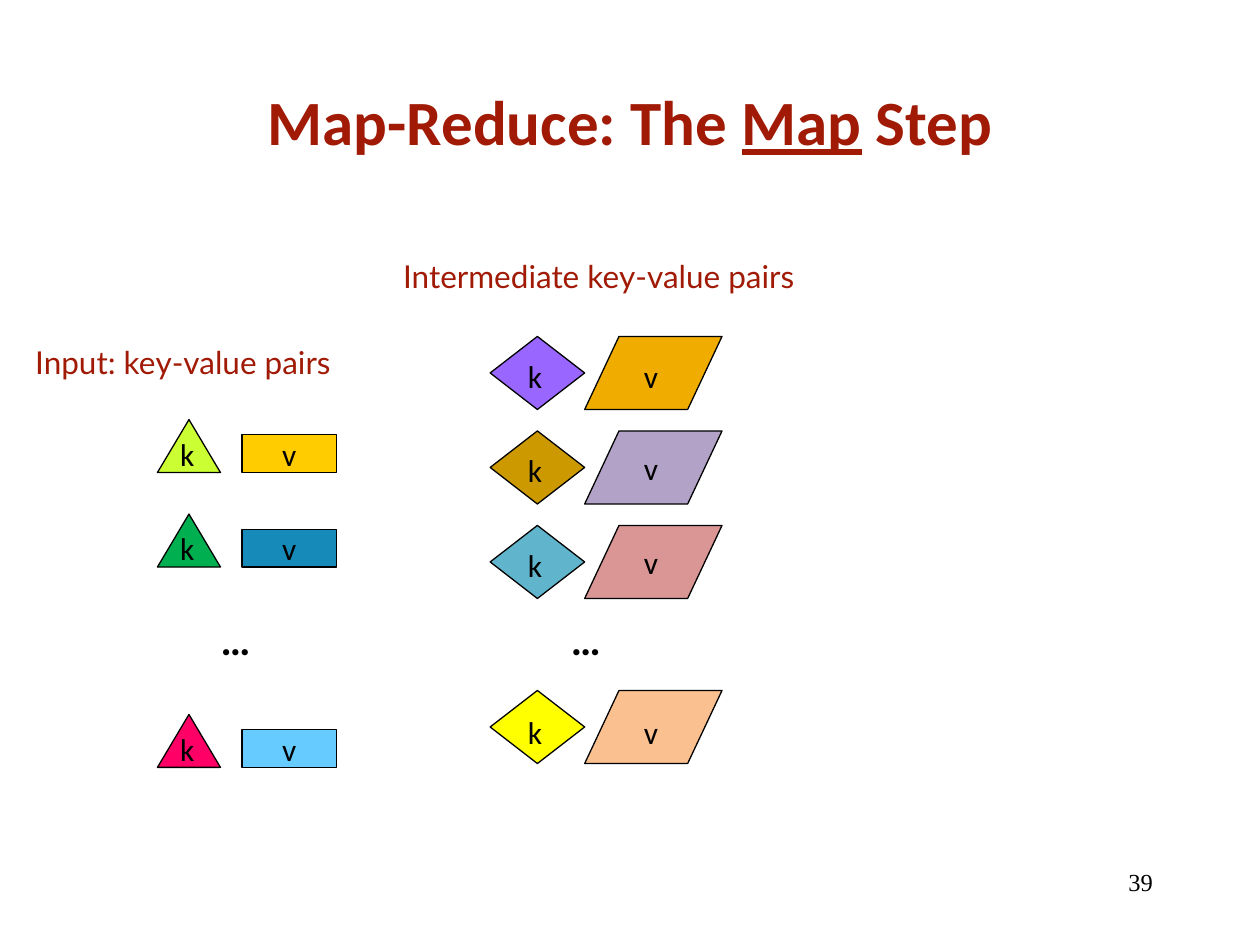
from pptx import Presentation
from pptx.dml.color import RGBColor
from pptx.enum.shapes import MSO_SHAPE
from pptx.enum.text import MSO_ANCHOR, PP_ALIGN
from pptx.util import Inches, Pt

TRIANGLE = MSO_SHAPE.ISOSCELES_TRIANGLE
RECTANGLE = MSO_SHAPE.RECTANGLE
DIAMOND = MSO_SHAPE.DIAMOND
PARALLELOGRAM = MSO_SHAPE.PARALLELOGRAM
LEFT, CENTER, RIGHT = PP_ALIGN.LEFT, PP_ALIGN.CENTER, PP_ALIGN.RIGHT
MIDDLE = MSO_ANCHOR.MIDDLE

BLACK = RGBColor(0, 0, 0)
RED = RGBColor(0xA0, 0x1A, 0x06)
LIME = RGBColor(0xCC, 0xFF, 0x33)
GOLD = RGBColor(0xFF, 0xCC, 0x00)
GREEN = RGBColor(0x00, 0xB0, 0x50)
BLUE = RGBColor(0x16, 0x8B, 0xBA)
PINK = RGBColor(0xFF, 0x00, 0x66)
SKY = RGBColor(0x66, 0xCC, 0xFF)
VIOLET = RGBColor(0x99, 0x66, 0xFF)
AMBER = RGBColor(0xF0, 0xAD, 0x00)
OCHRE = RGBColor(0xCC, 0x99, 0x00)
LILAC = RGBColor(0xB3, 0xA2, 0xC7)
TEAL = RGBColor(0x60, 0xB5, 0xCC)
ROSE = RGBColor(0xD9, 0x96, 0x94)
YELLOW = RGBColor(0xFF, 0xFF, 0x00)
PEACH = RGBColor(0xFA, 0xC0, 0x90)

ROW_TOP, ROW_STEP = 2.67, 0.75
INPUT_ROWS = [
    (ROW_TOP + 0.66, LIME, GOLD),
    (ROW_TOP + 0.66 + ROW_STEP, GREEN, BLUE),
    (5.67, PINK, SKY),
]
OUTPUT_ROWS = [
    (ROW_TOP, VIOLET, AMBER, 0.16, 0.16),
    (ROW_TOP + ROW_STEP, OCHRE, LILAC, 0.16, 0.14),
    (ROW_TOP + 2 * ROW_STEP, TEAL, ROSE, 0.16, 0.14),
    (5.48, YELLOW, PEACH, 0.18, 0.18),
]


def add_run(p, text, size, color=BLACK, font="Calibri", bold=False):
    r = p.add_run()
    r.text = text
    r.font.name = font
    r.font.size = Pt(size)
    r.font.bold = bold
    r.font.color.rgb = color
    return r


def clear_margins(tf):
    tf.margin_left = tf.margin_right = tf.margin_top = tf.margin_bottom = 0
    tf.word_wrap = True


def add_text(slide, x, y, w, h, align=LEFT):
    tf = slide.shapes.add_textbox(Inches(x), Inches(y), Inches(w), Inches(h)).text_frame
    clear_margins(tf)
    p = tf.paragraphs[0]
    p.alignment = align
    return p


def add_block(slide, kind, x, y, w, h, fill):
    sp = slide.shapes.add_shape(kind, Inches(x), Inches(y), Inches(w), Inches(h))
    sp.shadow.inherit = False
    sp.fill.solid()
    sp.fill.fore_color.rgb = fill
    sp.line.color.rgb = BLACK
    sp.line.width = Pt(0.75)
    return sp


def add_letter(slide, letter, x, y):
    add_run(add_text(slide, x, y, 0.15, 0.28), letter, 18)


def add_input_pair(slide, top, key_fill, value_fill):
    add_block(slide, TRIANGLE, 1.25, top, 0.5, 0.42, key_fill)
    add_letter(slide, "k", 1.43, top + 0.12)
    sp = add_block(slide, RECTANGLE, 1.92, top + 0.12, 0.75, 0.3, value_fill)
    clear_margins(sp.text_frame)
    sp.text_frame.vertical_anchor = MIDDLE
    p = sp.text_frame.paragraphs[0]
    p.alignment = CENTER
    add_run(p, "v", 18)


def add_output_pair(slide, top, key_fill, value_fill, key_drop, value_drop):
    add_block(slide, DIAMOND, 3.89, top, 0.75, 0.58, key_fill)
    sp = add_block(slide, PARALLELOGRAM, 4.64, top, 1.09, 0.58, value_fill)
    sp.adjustments[0] = 0.47
    add_letter(slide, "k", 4.19, top + key_drop)
    add_letter(slide, "v", 5.11, top + value_drop)


def add_heading(slide, start, x, y, w):
    p = add_text(slide, x, y, w, 0.3)
    add_run(p, start + " ke", 18, RED, "Lato")
    r = add_run(p, "y", 18, RED, "Lato")
    r.font._element.set("spc", "-90")
    add_run(p, "-value pairs", 18, RED, "Lato")


def add_title(slide):
    title = slide.shapes.title
    title.left, title.top = Inches(0.75), Inches(0.33)
    title.width, title.height = Inches(8.5), Inches(1.25)
    title.text_frame.vertical_anchor = MIDDLE
    p = title.text_frame.paragraphs[0]
    p.alignment = CENTER
    for text, underlined in (("Map-Reduce: The ", False), ("Map", True), (" Step", False)):
        add_run(p, text, 36, RED, bold=True).font.underline = underlined


def main():
    prs = Presentation()
    prs.slide_width, prs.slide_height = Inches(10), Inches(7.5)
    slide = prs.slides.add_slide(prs.slide_layouts[5])
    add_title(slide)
    add_heading(slide, "Input:", 0.28, 2.72, 2.6)
    add_heading(slide, "Intermediate", 3.2, 2.04, 3.27)
    for row in INPUT_ROWS:
        add_input_pair(slide, *row)
    for row in OUTPUT_ROWS:
        add_output_pair(slide, *row)
    for x in (1.75, 4.53):
        add_run(add_text(slide, x, 4.87, 0.32, 0.36), "…", 24, bold=True)
    add_run(add_text(slide, 7.17, 6.88, 1.98, 0.4, RIGHT), "39", 14, font="Times New Roman")
    prs.save("out.pptx")


if __name__ == "__main__":
    main()
